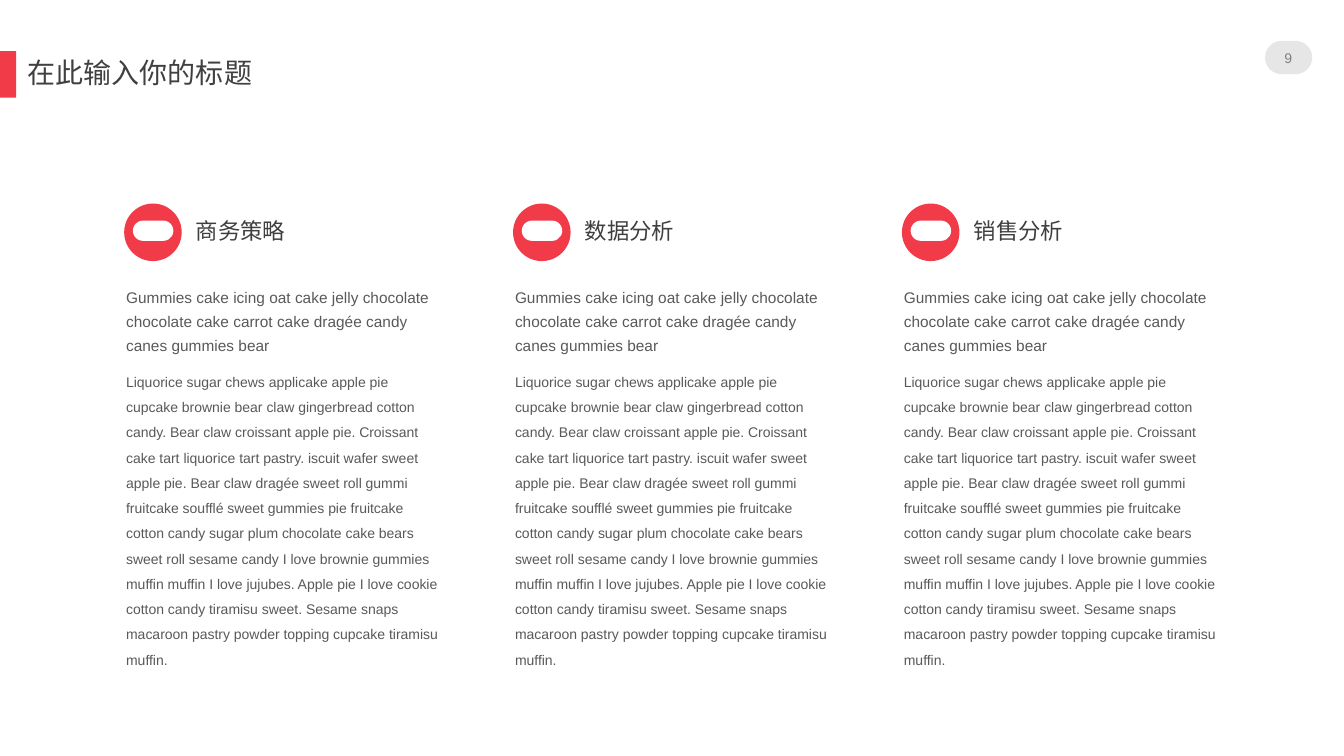
from pptx import Presentation
from pptx import util as u
from pptx.dml.color import RGBColor
from pptx.enum import shapes, text

RED = RGBColor(0xF2, 0x3B, 0x48)
WHITE = RGBColor(0xFF, 0xFF, 0xFF)
PILL_GREY = RGBColor(0xE7, 0xE6, 0xE6)
NUMBER_GREY = RGBColor(0x80, 0x80, 0x80)
TITLE_GREY = RGBColor(0x40, 0x40, 0x40)
HEADING_GREY = RGBColor(0x3F, 0x3F, 0x3F)
BODY_GREY = RGBColor(0x59, 0x59, 0x59)

ROUNDED = shapes.MSO_SHAPE.ROUNDED_RECTANGLE
OVAL = shapes.MSO_SHAPE.OVAL
MIDDLE = text.MSO_ANCHOR.MIDDLE

HEADINGS = ["商务策略", "数据分析", "销售分析"]
INTRO = ("Gummies cake icing oat cake jelly chocolate chocolate cake carrot cake "
         "dragée candy canes gummies bear")
BODY = ("Liquorice sugar chews applicake apple pie cupcake brownie bear claw "
        "gingerbread cotton candy. Bear claw croissant apple pie. Croissant cake "
        "tart liquorice tart pastry. iscuit wafer sweet apple pie. Bear claw dragée "
        "sweet roll gummi fruitcake soufflé sweet gummies pie fruitcake cotton candy "
        "sugar plum chocolate cake bears sweet roll sesame candy I love brownie "
        "gummies muffin muffin I love jujubes. Apple pie I love cookie cotton candy "
        "tiramisu sweet. Sesame snaps macaroon pastry powder topping cupcake "
        "tiramisu muffin.")

COLUMN_LEFT = 3.18
COLUMN_PITCH = 9.8
COLUMN_WIDTH = 7.9


class SlideBuilder:
    """Holds the font and the current slide; lengths are in centimetres."""

    font_name = "Arial"

    def __init__(self, slide):
        self.slide = slide

    def block(self, kind, box, color, rounding=None):
        block = self.slide.shapes.add_shape(kind, *map(u.Cm, box))
        block.shadow.inherit = False
        block.fill.solid()
        block.fill.fore_color.rgb = color
        block.line.fill.background()
        if rounding is not None:
            block.adjustments[0] = rounding

    def words(self, wording, box, size, color, anchor=text.MSO_ANCHOR.TOP, **layout):
        frame = self.slide.shapes.add_textbox(*map(u.Cm, box)).text_frame
        paragraph = frame.paragraphs[0]
        paragraph.text = wording
        frame_format = {"word_wrap": True, "vertical_anchor": anchor,
                        "margin_left": 0, "margin_top": 0,
                        "margin_right": 0, "margin_bottom": 0}
        font = paragraph.runs[0].font
        font_format = {"name": self.font_name, "size": u.Pt(size)}
        for target, values in ((frame, frame_format), (paragraph, layout),
                               (font, font_format)):
            for key, value in values.items():
                setattr(target, key, value)
        font.color.rgb = color


def main():
    deck = Presentation()
    deck.slide_width, deck.slide_height = u.Cm(33.87), u.Cm(19.05)
    page = SlideBuilder(deck.slides.add_slide(deck.slide_layouts[6]))

    # Title and page number
    page.block(ROUNDED, (0, 1.29, 0.41, 1.17), RED, rounding=0)
    page.block(ROUNDED, (31.88, 1.03, 1.19, 0.84), PILL_GREY, rounding=0.5)
    page.words("在此输入你的标题", (0.7, 1.3, 10.59, 1.17), 20, TITLE_GREY,
               anchor=MIDDLE, line_spacing=0.9)
    page.words("9", (31.87, 0.91, 1.19, 1.09), 10, NUMBER_GREY,
               anchor=MIDDLE, alignment=text.PP_ALIGN.CENTER)

    # Three topic columns
    for index, heading in enumerate(HEADINGS):
        left = COLUMN_LEFT + index * COLUMN_PITCH
        page.words(BODY, (left, 9.2, COLUMN_WIDTH, 7.19), 10, BODY_GREY,
                   line_spacing=1.5)
        page.words(heading, (left + 1.76, 5.56, 6.2, 1.04), 16, HEADING_GREY,
                   line_spacing=0.9)
        page.block(OVAL, (left - 0.05, 5.13, 1.45, 1.45), RED)
        page.words(INTRO, (left, 7.11, COLUMN_WIDTH, 2.08), 11, BODY_GREY,
                   line_spacing=1.3)
        # Plain badge mark
        page.block(ROUNDED, (left + 0.17, 5.56, 1.02, 0.51), WHITE, rounding=0.5)

    deck.save("out.pptx")


if __name__ == "__main__":
    main()
